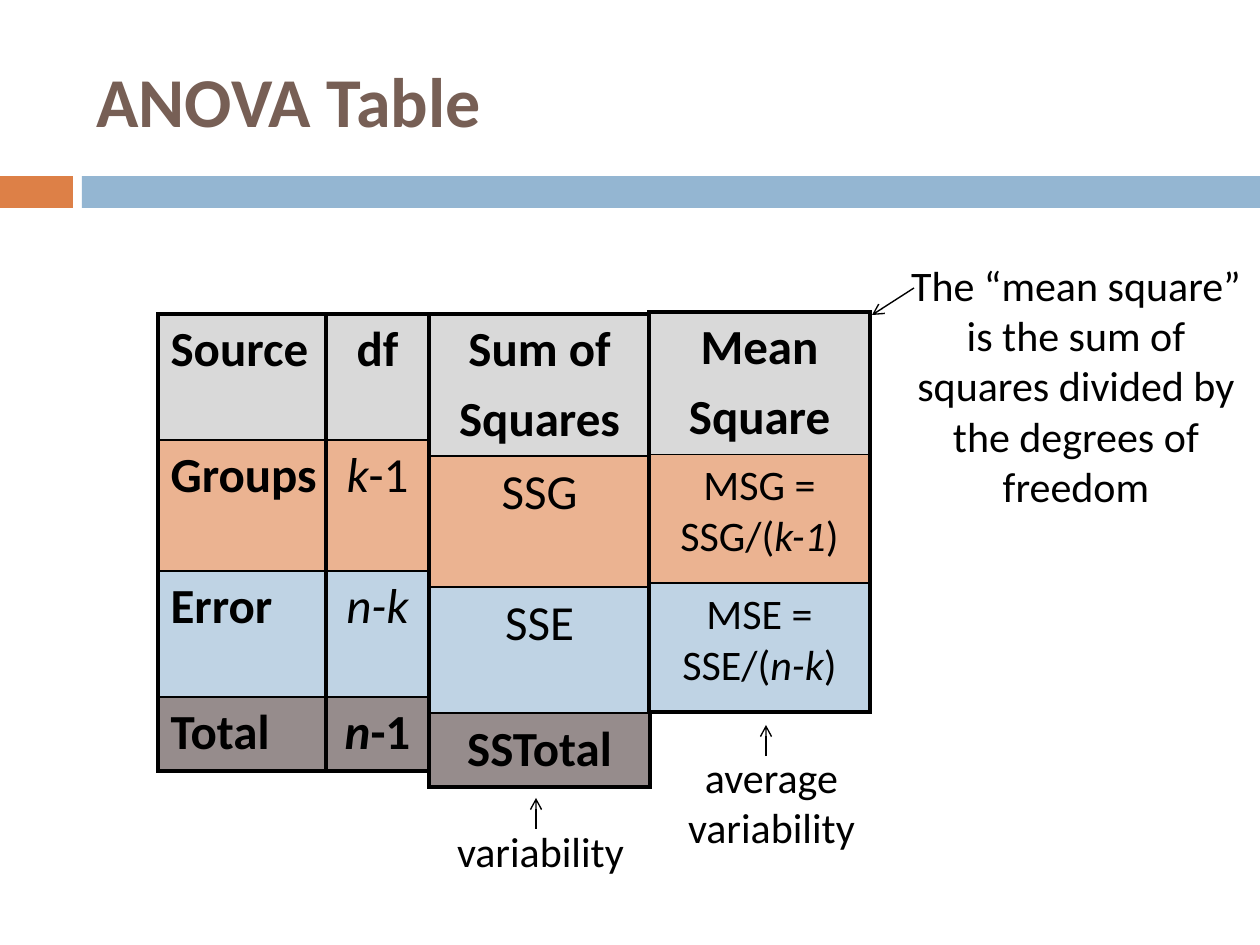
from lxml import etree
from pptx import Presentation
from pptx import util as u
from pptx.dml.color import RGBColor
from pptx.enum import shapes, text
from pptx.oxml import ns

BLACK = RGBColor(0x00, 0x00, 0x00)
BROWN = RGBColor(0x77, 0x5F, 0x55)
ORANGE = RGBColor(0xDD, 0x80, 0x47)
BLUE = RGBColor(0x94, 0xB6, 0xD2)
HEADER = RGBColor(0xD9, 0xD9, 0xD9)
GROUPS = RGBColor(0xEB, 0xB3, 0x91)
ERROR = RGBColor(0xBF, 0xD3, 0xE4)
TOTAL = RGBColor(0x96, 0x8C, 0x8C)
ROW_FILLS = (HEADER, GROUPS, ERROR, TOTAL)

FONT = "Calibri"
PX_PER_INCH = 126
THICK, THIN = 2.25, 1


def px(n):
    return u.Emu(round(n * 914400 / PX_PER_INCH))


class SlideBuilder:
    def __init__(self, slide):
        self.s = slide

    def style(self, font, size, color=BLACK, bold=False):
        font.name = FONT
        font.size = u.Pt(size)
        font.bold = bold
        font.color.rgb = color

    def title(self, words, x, y, w, h):
        sp = self.s.shapes.title
        sp.left, sp.top, sp.width, sp.height = map(px, (x, y, w, h))
        tf = sp.text_frame
        tf.text = words
        tf.vertical_anchor = text.MSO_ANCHOR.MIDDLE
        p = tf.paragraphs[0]
        p.alignment = text.PP_ALIGN.LEFT
        self.style(p.font, 40, BROWN, True)

    def bar(self, x, y, w, h, color):
        sp = self.s.shapes.add_shape(
            shapes.MSO_SHAPE.RECTANGLE, *map(px, (x, y, w, h)))
        sp.shadow.inherit = False
        sp.fill.solid()
        sp.fill.fore_color.rgb = color
        sp.line.fill.background()

    def note(self, words, x, y, w, h):
        tf = self.s.shapes.add_textbox(*map(px, (x, y, w, h))).text_frame
        tf.word_wrap = True
        tf.text = words
        p = tf.paragraphs[0]
        p.alignment = text.PP_ALIGN.CENTER
        self.style(p.font, 24)

    def arrow(self, x1, y1, x2, y2):
        cx = self.s.shapes.add_connector(
            shapes.MSO_CONNECTOR.STRAIGHT, *map(px, (x1, y1, x2, y2)))
        cx.line.color.rgb = BLACK
        cx.line.width = u.Pt(0.79)
        etree.SubElement(cx.line._get_or_add_ln(), ns.qn("a:tailEnd"), type="arrow")
        etree.SubElement(cx._element.spPr, ns.qn("a:effectLst"))

    def borders(self, cell, top, bottom):
        tcPr = cell._tc.get_or_add_tcPr()
        sides = (("L", THICK), ("R", THICK), ("T", top), ("B", bottom))
        for i, (side, width) in enumerate(sides):
            ln = etree.Element(ns.qn(f"a:ln{side}"), w=str(u.Pt(width)))
            fill = etree.SubElement(ln, ns.qn("a:solidFill"))
            etree.SubElement(fill, ns.qn("a:srgbClr"), val=str(BLACK))
            tcPr.insert(i, ln)

    def cell_text(self, cell, lines, size, bold, align):
        tf = cell.text_frame
        for i, runs in enumerate(lines):
            p = tf.add_paragraph() if i else tf.paragraphs[0]
            p.alignment = align
            if i:
                p.space_before = u.Pt(size * 0.2)
            self.style(p.font, size, bold=bold)
            for words, italic in runs:
                r = p.add_run()
                r.text = words
                r.font.italic = italic

    def column(self, x, y, w, heights, cells, align=text.PP_ALIGN.CENTER):
        frame = self.s.shapes.add_table(
            len(cells), 1, *map(px, (x, y, w, sum(heights))))
        table = frame.table
        table.first_row = table.horz_banding = False
        table.columns[0].width = px(w)
        last = len(cells) - 1
        for i, (lines, size, bold) in enumerate(cells):
            table.rows[i].height = px(heights[i])
            cell = table.cell(i, 0)
            cell.fill.solid()
            cell.fill.fore_color.rgb = ROW_FILLS[i]
            self.borders(cell, THIN if i else THICK, THICK if i == last else THIN)
            self.cell_text(cell, lines, size, bold, align)


def plain(*lines, size=28, bold=False):
    return [[(line, False)] for line in lines], size, bold


def mixed(*runs, size=28, bold=False):
    return [runs], size, bold


def mean_square(name, total, df):
    return mixed((f"{name} = {total}/(", False), (df, True), (")", False), size=24)


def main():
    prs = Presentation()
    prs.slide_width, prs.slide_height = px(1260), px(945)
    b = SlideBuilder(prs.slides.add_slide(prs.slide_layouts[5]))

    b.bar(0, 176, 73, 32, ORANGE)
    b.bar(82, 176, 1178, 32, BLUE)
    b.title("ANOVA Table", 84, 32, 1124, 136)

    names = [plain(n, bold=True) for n in ("Source", "Groups", "Error", "Total")]
    b.column(158, 314, 175, (126, 131, 126, 74), names, text.PP_ALIGN.LEFT)
    b.column(326, 314, 103, (126, 131, 126, 74), [
        plain("df", bold=True),
        mixed(("k", True), ("-1", False)),
        mixed(("n-k", True)),
        mixed(("n", True), ("-1", False), bold=True),
    ])
    b.column(429, 314, 221, (142, 131, 126, 74), [
        plain("Sum of", "Squares", bold=True),
        plain("SSG"),
        plain("SSE"),
        plain("SSTotal", bold=True),
    ])
    b.column(649, 312, 221, (142, 129, 129), [
        plain("Mean", "Square", bold=True),
        mean_square("MSG", "SSG", "k-1"),
        mean_square("MSE", "SSE", "n-k"),
    ])

    b.note("The “mean square” is the sum of squares divided by the degrees of freedom",
           892, 253, 368, 267)
    b.arrow(914, 288, 872, 315)
    b.note("variability", 430, 819, 221, 63)
    b.arrow(536, 829, 536, 798)
    b.note("average variability", 661, 745, 221, 115)
    b.arrow(766, 756, 766, 725)

    prs.save("out.pptx")


if __name__ == "__main__":
    main()
